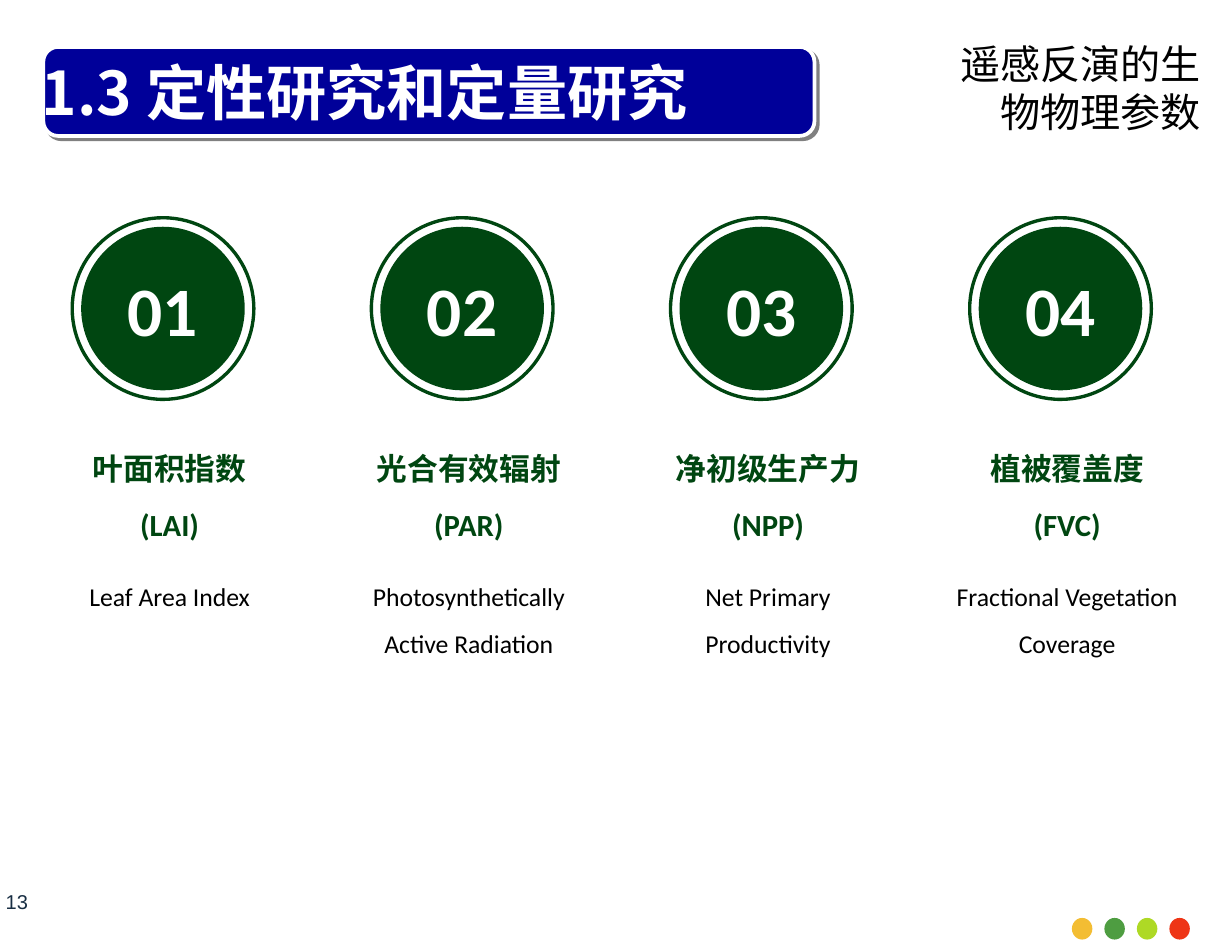
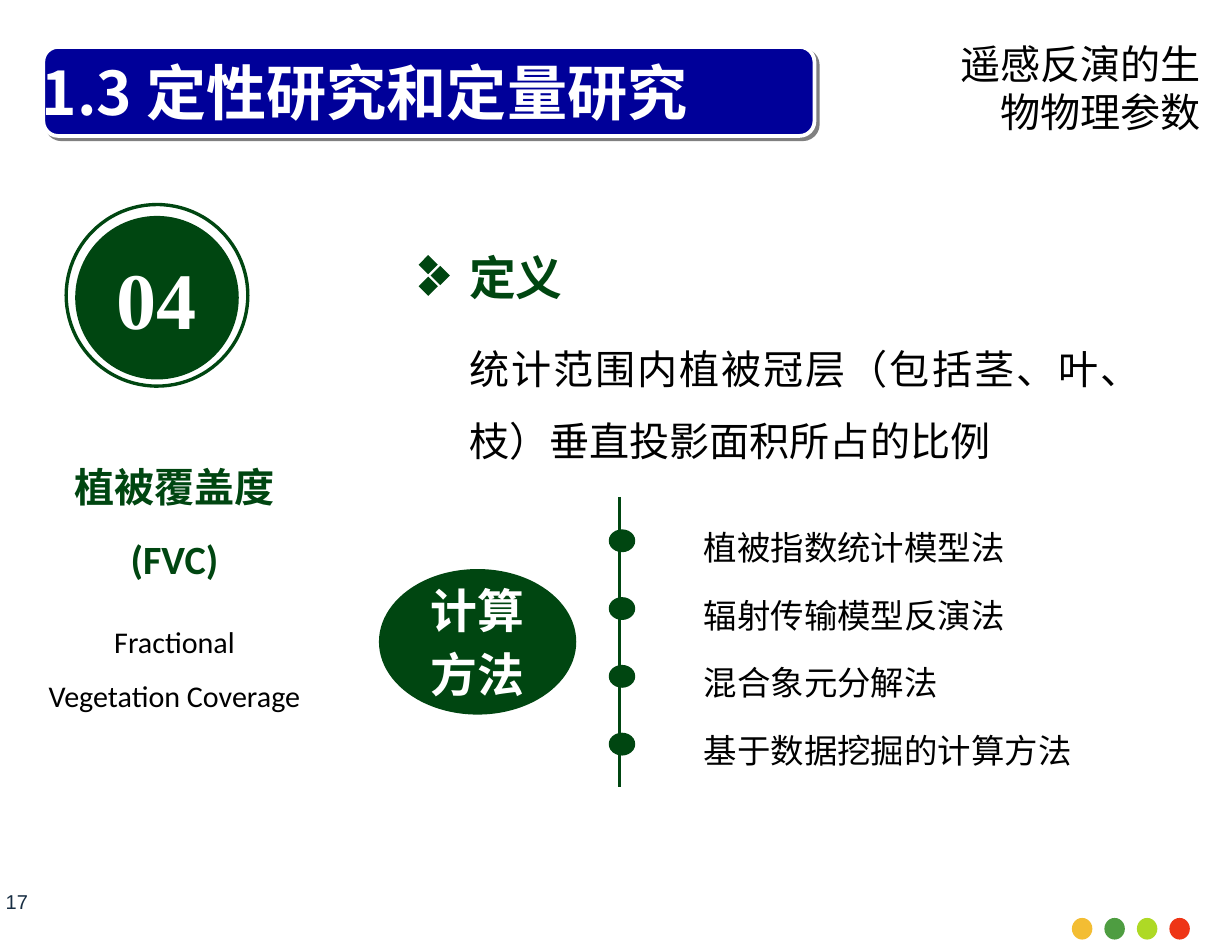
from dataclasses import dataclass

import pptx
import pptx.dml.color
import pptx.enum.shapes
import pptx.enum.text
import pptx.oxml.ns
import pptx.util
from lxml import etree

Inches, Pt = pptx.util.Inches, pptx.util.Pt
SHAPE = pptx.enum.shapes.MSO_SHAPE
ALIGN = pptx.enum.text.PP_ALIGN
ANCHOR = pptx.enum.text.MSO_ANCHOR
qn = pptx.oxml.ns.qn

GREEN, NAVY, WHITE, BLACK, GRAY, SLATE = (
    "004611", "000099", "FFFFFF", "000000", "808080", "182E43")
DOT_COLORS = ["F3BD33", "4E9D41", "AED925", "EE3516"]
CJK, LATIN, SERIF, SANS = "Noto Sans CJK SC", "Calibri", "Times New Roman", "Arial"

TITLE = "1.3 定性研究和定量研究"
SUBTITLE = "遥感反演的生物物理参数"


@dataclass
class Line:
    text: str
    size: float
    color: str = BLACK
    bold: bool = False
    font: str = LATIN
    align: ALIGN = ALIGN.LEFT
    spacing: float = 1.0
    after: float = 0


@dataclass
class Parameter:
    number: str
    name: str
    short: str
    english: str


PARAMETERS = [
    Parameter("01", "叶面积指数", "(LAI)", "Leaf Area Index"),
    Parameter("02", "光合有效辐射", "(PAR)", "Photosynthetically Active Radiation"),
    Parameter("03", "净初级生产力", "(NPP)", "Net Primary Productivity"),
    Parameter("04", "植被覆盖度", "(FVC)", "Fractional Vegetation Coverage"),
]
METHODS = ["植被指数统计模型法", "辐射传输模型反演法", "混合象元分解法", "基于数据挖掘的计算方法"]


def rgb(color: str):
    return pptx.dml.color.RGBColor.from_string(color)


def write(tf, lines: list[Line], anchor=ANCHOR.TOP):
    tf.word_wrap = True
    tf.vertical_anchor = anchor
    for i, line in enumerate(lines):
        p = tf.add_paragraph() if i else tf.paragraphs[0]
        p.text = line.text
        p.alignment = line.align
        p.line_spacing = line.spacing
        p.space_after = Pt(line.after)
        p.font.size = Pt(line.size)
        p.font.bold = line.bold
        p.font.color.rgb = rgb(line.color)
        p.font.name = line.font
        defaults = p._p.pPr.find(qn("a:defRPr"))
        etree.SubElement(defaults, qn("a:ea"), typeface=CJK)


def add_text(s, left: float, top: float, width: float, height: float,
             lines: list[Line], anchor=ANCHOR.TOP, side_margin: float = 0.1):
    box = s.shapes.add_textbox(Inches(left), Inches(top), Inches(width), Inches(height))
    tf = box.text_frame
    tf.margin_left = tf.margin_right = Inches(side_margin)
    write(tf, lines, anchor)


def paint(sp, fill: str = "", line: str = "", weight: float = 0):
    """Set fill and outline, where an empty colour means none, and drop the shadow."""
    if fill:
        sp.fill.solid()
        sp.fill.fore_color.rgb = rgb(fill)
    else:
        sp.fill.background()
    if line:
        sp.line.color.rgb = rgb(line)
        sp.line.width = Pt(weight)
    else:
        sp.line.fill.background()
    sp.shadow.inherit = False


def add_shape(s, kind, left: float, top: float, width: float, height: float,
              fill: str = "", line: str = "", weight: float = 0):
    sp = s.shapes.add_shape(kind, Inches(left), Inches(top), Inches(width), Inches(height))
    paint(sp, fill, line, weight)
    return sp


def add_title_band(s):
    band = add_shape(s, SHAPE.ROUNDED_RECTANGLE, 0.36, 0.39, 6.41, 0.74, NAVY, WHITE, 2.25)
    effects = band.element.spPr.find(qn("a:effectLst"))
    shadow = etree.SubElement(effects, qn("a:outerShdw"), dist=str(Pt(2.8)),
                              dir="2700000", algn="ctr", rotWithShape="0")
    etree.SubElement(shadow, qn("a:srgbClr"), val=GRAY)
    add_text(s, 0.25, 0.36, 6.97, 0.8, [Line(TITLE, 36, WHITE, True, CJK)], ANCHOR.MIDDLE)


def add_base_slide(prs, page: int):
    s = prs.slides.add_slide(prs.slide_layouts[6])
    add_title_band(s)
    add_text(s, 7.88, 0.28, 2.2, 0.91, [Line(SUBTITLE, 24, align=ALIGN.RIGHT)])
    for i, color in enumerate(DOT_COLORS):
        add_shape(s, SHAPE.OVAL, 8.91 + i * 0.27, 7.63, 0.17, 0.18, color)
    add_text(s, 0, 7.41, 0.28, 0.16,
             [Line(str(page), 12, SLATE, font=SANS, align=ALIGN.CENTER)],
             ANCHOR.MIDDLE, side_margin=0)
    return s


def add_badge(s, left: float, top: float, number: str, size: float, font: str,
              drop: float = 0):
    """Draw a numbered disc inside a ring; drop lowers the disc."""
    ring, disc = 1.51, 1.36
    gap = (ring - disc) / 2
    sp = add_shape(s, SHAPE.OVAL, left + gap, top + gap + drop, disc, disc, GREEN)
    write(sp.text_frame, [Line(number, size, WHITE, True, font, ALIGN.CENTER)],
          ANCHOR.MIDDLE)
    add_shape(s, SHAPE.OVAL, left, top, ring, ring, line=GREEN, weight=2)


def add_caption(s, left: float, top: float, item: Parameter,
                name_size: float, english_size: float):
    add_text(s, left, top, 2.32, 2.59, [
        Line(item.name, name_size, GREEN, True, align=ALIGN.CENTER, spacing=1.5),
        Line(item.short, name_size, GREEN, True, align=ALIGN.CENTER, spacing=1.5, after=13.8),
        Line(item.english, english_size, align=ALIGN.CENTER, spacing=1.5),
    ])


def add_diamond_marker(s):
    half = 0.08
    centers = [(3.56, 2.2), (3.66, 2.29), (3.56, 2.38)]
    builder = s.shapes.build_freeform(Inches(centers[0][0]), Inches(centers[0][1] - half))
    for x, y in centers:
        builder.move_to(Inches(x), Inches(y - half))
        corners = [(x + half, y), (x, y + half), (x - half, y)]
        builder.add_line_segments([(Inches(a), Inches(b)) for a, b in corners], close=True)
    paint(builder.convert_to_shape(), GREEN)


def add_methods(s):
    line = s.shapes.add_connector(pptx.enum.shapes.MSO_CONNECTOR.STRAIGHT,
                                  Inches(5.15), Inches(4.13), Inches(5.15), Inches(6.54))
    line.line.color.rgb = rgb(GREEN)
    line.line.width = Pt(1.5)
    etree.SubElement(line.element.spPr, qn("a:effectLst"))

    hub = add_shape(s, SHAPE.OVAL, 3.15, 4.73, 1.64, 1.21, GREEN)
    write(hub.text_frame, [Line(text, 28, WHITE, True, SANS, ALIGN.CENTER, after=4.6)
                           for text in ("计算", "方法")], ANCHOR.MIDDLE)

    pitch = (6.09 - 4.4) / (len(METHODS) - 1)
    for i, method in enumerate(METHODS):
        top = 4.4 + i * pitch
        add_shape(s, SHAPE.OVAL, 5.06, top, 0.22, 0.19, GREEN)
        add_text(s, 5.75, top - 0.07, 3.38, 0.31, [Line(method, 20, font=CJK)])


def build_overview(prs):
    s = add_base_slide(prs, 13)
    pitch = (7.71 - 0.25) / (len(PARAMETERS) - 1)
    for i, item in enumerate(PARAMETERS):
        left = 0.25 + i * pitch
        add_badge(s, left + 0.35, 1.81, item.number, 41.5, LATIN)
        add_caption(s, left, 3.54, item, 18.4, 15.4)


def build_vegetation_cover(prs):
    s = add_base_slide(prs, 17)
    item = PARAMETERS[-1]
    add_caption(s, 0.29, 3.59, item, 24, 18)
    add_badge(s, 0.55, 1.7, item.number, 48, SERIF, drop=0.02)
    add_diamond_marker(s)
    add_text(s, 3.8, 2.02, 5.78, 1.55, [
        Line("定义", 28, GREEN, True, CJK, ALIGN.JUSTIFY, after=9.2),
        Line("统计范围内植被冠层（包括茎、叶、枝）垂直投影面积所占的比例", 24,
             font=SERIF, align=ALIGN.JUSTIFY, spacing=1.5),
    ])
    add_methods(s)


def main():
    prs = pptx.Presentation()
    prs.slide_width, prs.slide_height = Inches(10.24), Inches(7.88)
    build_overview(prs)
    build_vegetation_cover(prs)
    prs.save("out.pptx")


if __name__ == "__main__":
    main()
